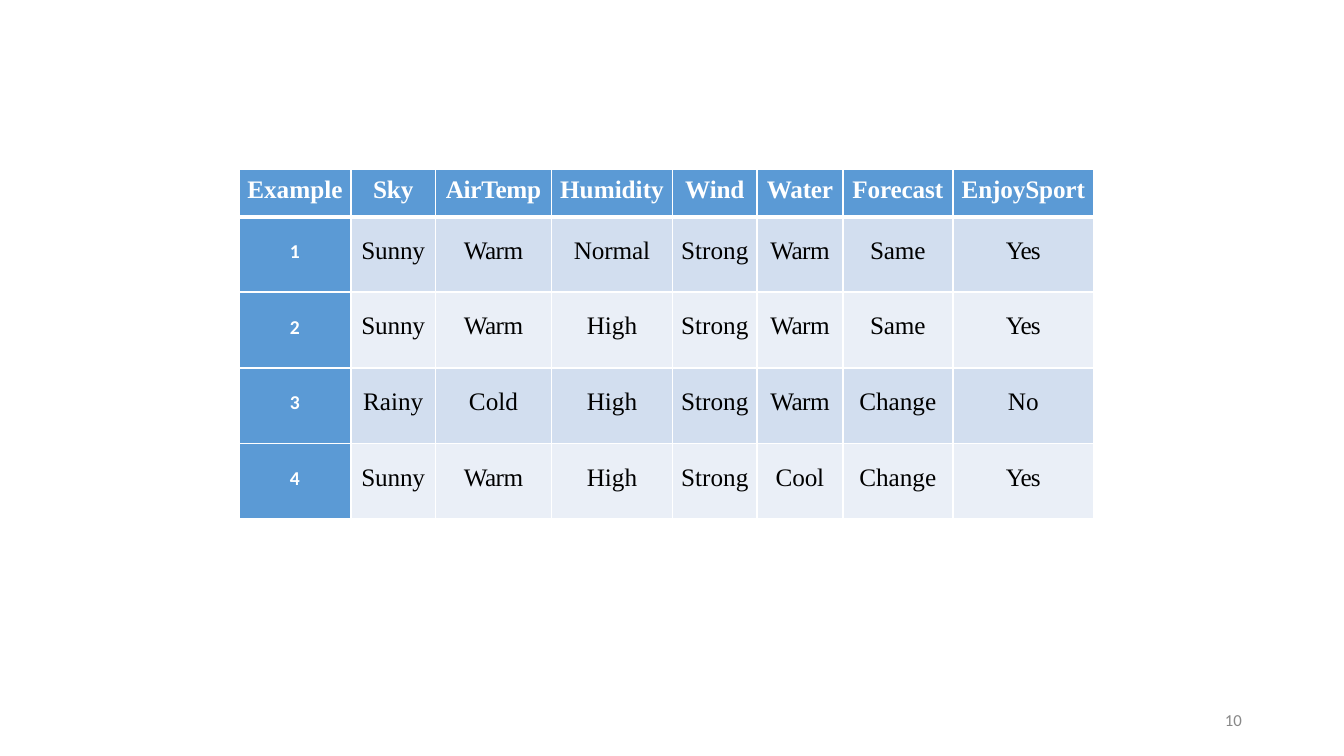
from lxml import etree
from pptx import Presentation
from pptx.dml.color import RGBColor
from pptx.enum.text import MSO_ANCHOR, PP_ALIGN
from pptx.oxml.ns import qn
from pptx.util import Inches, Pt

COL_WIDTHS = [1.11, 0.84, 1.15, 1.2, 0.84, 0.85, 1.09, 1.4]
HEADER_HEIGHT, ROW_HEIGHT = 0.47, 0.75
EXAMPLES = [
    ["Example", "Sky", "AirTemp", "Humidity", "Wind", "Water", "Forecast", "EnjoySport"],
    ["1", "Sunny", "Warm", "Normal", "Strong", "Warm", "Same", "Yes"],
    ["2", "Sunny", "Warm", "High", "Strong", "Warm", "Same", "Yes"],
    ["3", "Rainy", "Cold", "High", "Strong", "Warm", "Change", "No"],
    ["4", "Sunny", "Warm", "High", "Strong", "Cool", "Change", "Yes"],
]
TRACKING = {
    "Sky": -0.1, "AirTemp": -0.2, "Wind": -0.1, "Water": -0.2, "Forecast": -0.1,
    "EnjoySport": -0.1, "Sunny": -0.1, "Warm": -0.4, "Normal": -0.1, "Same": -0.1,
    "Cool": -0.1, "No": -0.1, "Yes": -0.7,
}


def rgb(value):
    return RGBColor.from_string(value)


class SlideBuilder:
    serif, sans = "Times New Roman", "Calibri"
    white, black, gray, blue = "FFFFFF", "000000", "888888", "5B9AD5"
    bands = ["D2DEEF", "EAEFF7"]

    def __init__(self, slide):
        self.slide = slide

    def run(self, p, text, size, font, color, bold=False):
        r = p.add_run()
        r.text = text
        r.font.size = Pt(size)
        r.font.name = font
        r.font.bold = bold
        r.font.color.rgb = rgb(color)
        if text in TRACKING:
            r.font._element.set("spc", str(round(TRACKING[text] * 100)))

    def borders(self, cell, top, bottom):
        tcPr = cell._tc.get_or_add_tcPr()
        for side, width in (("L", 1.5), ("R", 1.5), ("T", top), ("B", bottom)):
            ln = etree.SubElement(tcPr, qn(f"a:ln{side}"), w=str(Pt(width)))
            fill = etree.SubElement(ln, qn("a:solidFill"))
            etree.SubElement(fill, qn("a:srgbClr"), val=self.white)

    def cell(self, cell, text, row, col):
        self.borders(cell, 3 if row == 1 else 1.5, 3 if row == 0 else 1.5)
        if row == 0:
            fill, top, style = self.blue, 0.07, (18, self.serif, self.white, True)
        elif col == 0:
            fill, top, style = self.blue, 0.23, (14, self.sans, self.white, True)
        else:
            fill, top = self.bands[(row - 1) % 2], 0.2
            style = (18, self.serif, self.black)
        cell.fill.solid()
        cell.fill.fore_color.rgb = rgb(fill)
        cell.margin_left = cell.margin_right = cell.margin_bottom = 0
        cell.margin_top = Inches(top)
        cell.vertical_anchor = MSO_ANCHOR.TOP
        p = cell.text_frame.paragraphs[0]
        p.alignment = PP_ALIGN.CENTER
        self.run(p, text, *style)

    def table(self, left, top, rows):
        heights = [HEADER_HEIGHT] + [ROW_HEIGHT] * (len(rows) - 1)
        table = self.slide.shapes.add_table(
            len(rows), len(COL_WIDTHS), Inches(left), Inches(top),
            Inches(sum(COL_WIDTHS)), Inches(sum(heights))).table
        for column, width in zip(table.columns, COL_WIDTHS):
            column.width = Inches(width)
        for i, (words, height) in enumerate(zip(rows, heights)):
            table.rows[i].height = Inches(height)
            for j, word in enumerate(words):
                self.cell(table.cell(i, j), word, i, j)

    def page_number(self, text, left, top, width, height):
        sp = self.slide.shapes.add_textbox(
            Inches(left), Inches(top), Inches(width), Inches(height))
        tf = sp.text_frame
        tf.word_wrap = True
        tf.margin_left = Inches(0.03)
        tf.margin_top = tf.margin_right = tf.margin_bottom = 0
        p = tf.paragraphs[0]
        p.line_spacing = Pt(12.4)
        self.run(p, text, 12, self.sans, self.gray)


def main():
    prs = Presentation()
    prs.slide_width, prs.slide_height = Inches(13.33), Inches(7.5)
    builder = SlideBuilder(prs.slides.add_slide(prs.slide_layouts[6]))
    builder.page_number("10", 12.12, 7.07, 0.23, 0.2)
    builder.table(2.37, 1.68, EXAMPLES)
    prs.save("out.pptx")


if __name__ == "__main__":
    main()
